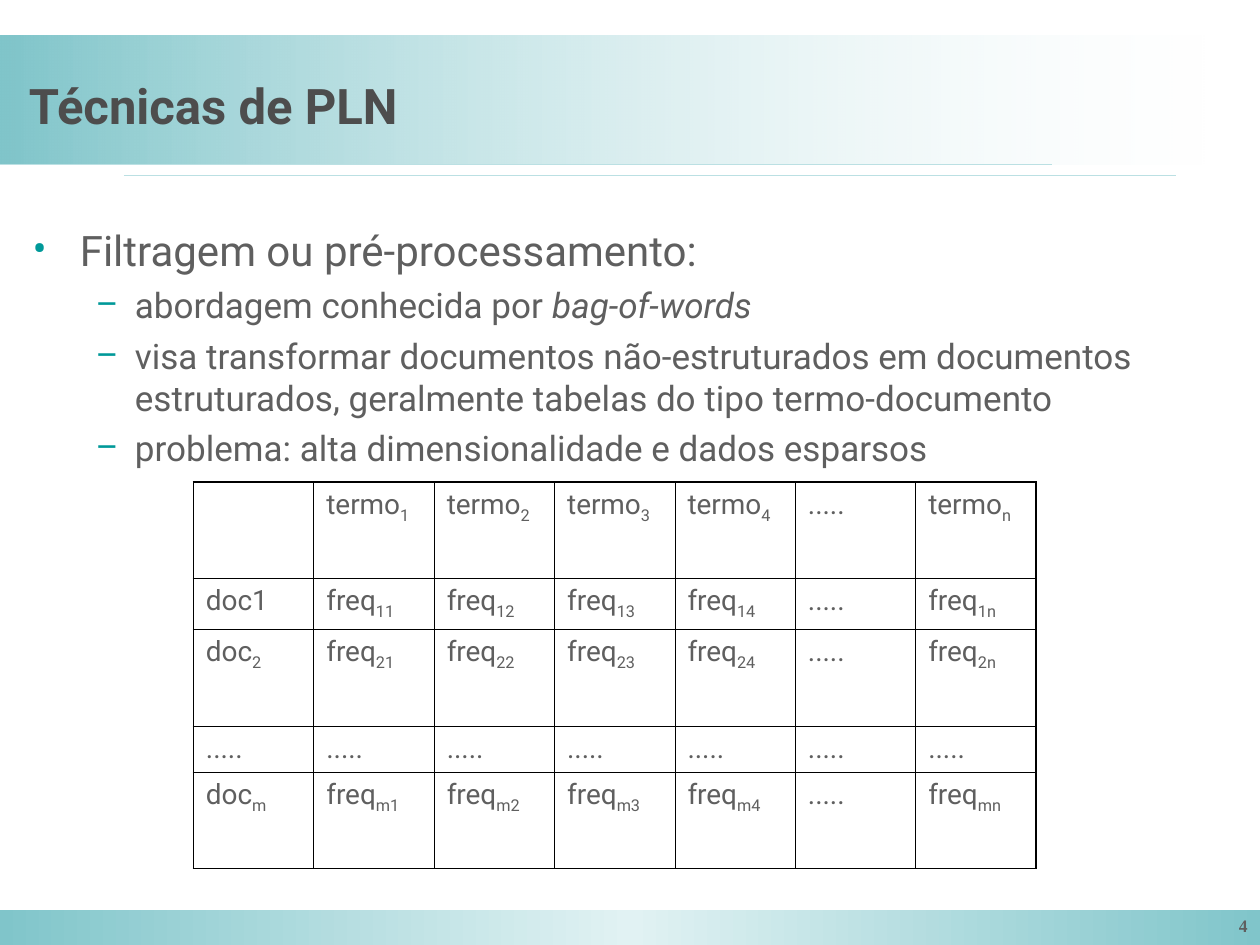
from dataclasses import dataclass

from lxml.etree import SubElement as Sub
from pptx import Presentation
from pptx.dml.color import RGBColor as Rgb
from pptx.enum.shapes import MSO_CONNECTOR as Conn, MSO_SHAPE as Form
from pptx.enum.text import MSO_ANCHOR as Anchor, PP_ALIGN as Align
from pptx.oxml.ns import qn
from pptx.util import Pt

INK = {
    "teal": "80C5CA", "pale": "E1F2F3", "rule": "BBE0E3", "mark": "009999",
    "title": "4D4D4D", "text": "5F5F5F", "grid": "000000",
}
FACE = "Roboto"
WIDE, HIGH = 720, 540
DOTS = "....."
THIN, THICK = 0.45, 1.08


@dataclass
class Box:
    left: float
    top: float
    width: float
    height: float

    def pts(self) -> list:
        return [Pt(n) for n in (self.left, self.top, self.width, self.height)]


@dataclass
class Stop:
    place: int
    ink: str
    clear: bool = False


@dataclass
class Rule:
    left: float
    right: float
    top: float


@dataclass
class Run:
    text: str
    slant: bool = False


@dataclass
class Level:
    mark: str
    size: float
    left: float
    hang: float
    gap: float


@dataclass
class Point:
    level: Level
    runs: list[Run]


HEAD = Level("•", 24, 27, 27, 0)
SUB = Level("–", 20, 58.5, 22.5, 5)

BANDS = [
    (Box(0, 519.84, WIDE, 20.16),
     [Stop(0, "teal"), Stop(50, "pale"), Stop(100, "teal")]),
    (Box(0, 20.16, 690, 73.8), [Stop(0, "pale", True), Stop(100, "teal")]),
]
RULES = [Rule(0, 601.2, 94.2), Rule(70.8, 672, 100.1)]
POINTS = [
    Point(HEAD, [Run("Filtragem ou pré-processamento:")]),
    Point(SUB, [Run("abordagem conhecida por "), Run("bag-of-words", True)]),
    Point(SUB, [Run("visa transformar documentos não-estruturados em documentos "
                    "estruturados, geralmente tabelas do tipo termo-documento")]),
    Point(SUB, [Run("problema: alta dimensionalidade e dados esparsos")]),
]

# An underscore parts a word from its subscript.
TERMS = ["1", "2", "3", "4", "", "n"]
DOCS = {"doc1": "1", "doc_2": "2", DOTS: "", "doc_m": "m"}
CELLS = [["", *(f"termo_{t}" if t else DOTS for t in TERMS)]] + [
    [name, *(f"freq_{d}{t}" if d and t else DOTS for t in TERMS)]
    for name, d in DOCS.items()
]
ROWS = [55, 29.3, 55, 26.4, 55]
GRID = Box(110.5, 275.6, 481.6, sum(ROWS))


def add_run(para, text: str, size: float, ink: str = "text", face: str = FACE,
            bold: bool = False, slant: bool = False):
    run = para.add_run()
    run.text = text
    font = run.font
    font.size, font.name, font.bold, font.italic = Pt(size), face, bold, slant
    font.color.rgb = Rgb.from_string(INK[ink])
    return run


def add_frame(slide, box: Box, anchor=Anchor.TOP):
    frame = slide.shapes.add_textbox(*box.pts()).text_frame
    frame.word_wrap = True
    frame.vertical_anchor = anchor
    return frame


def add_band(slide, box: Box, stops: list[Stop]) -> None:
    band = slide.shapes.add_shape(Form.RECTANGLE, *box.pts())
    band.shadow.inherit = False
    band.line.fill.background()
    band.fill.gradient()
    band.fill.gradient_angle = 180
    ramp = next(band._element.iter(qn("a:gsLst")))
    ramp.clear()
    for stop in stops:
        node = Sub(ramp, qn("a:gs"), pos=str(stop.place * 1000))
        tint = Sub(node, qn("a:srgbClr"), val=INK[stop.ink])
        if stop.clear:
            Sub(tint, qn("a:alpha"), val="0")


def add_rule(slide, rule: Rule) -> None:
    ends = [Pt(n) for n in (rule.left, rule.top, rule.right, rule.top)]
    line = slide.shapes.add_connector(Conn.STRAIGHT, *ends)
    line.line.color.rgb = Rgb.from_string(INK["rule"])
    line.line.width = Pt(0.75)
    Sub(line._element.spPr, qn("a:effectLst"))


def add_point(para, point: Point) -> None:
    level = point.level
    para.space_before = Pt(level.gap)
    props = para._p.get_or_add_pPr()
    props.set("marL", str(Pt(level.left)))
    props.set("indent", str(-Pt(level.hang)))
    Sub(Sub(props, qn("a:buClr")), qn("a:srgbClr"), val=INK["mark"])
    Sub(props, qn("a:buFont"), typeface=FACE)
    Sub(props, qn("a:buChar"), char=level.mark)
    for run in point.runs:
        add_run(para, run.text, level.size, slant=run.slant)


def edge_cell(cell, sides: dict[str, float]) -> None:
    """Draw the cell's borders, given a width for each side."""
    props = cell._tc.get_or_add_tcPr()
    for spot, (side, width) in enumerate(sides.items()):
        line = Sub(props, qn(f"a:ln{side}"), w=str(Pt(width)))
        Sub(Sub(line, qn("a:solidFill")), qn("a:srgbClr"), val=INK["grid"])
        props.insert(spot, line)


def add_grid(slide, box: Box, cells: list[list[str]]) -> None:
    tall, broad = len(cells), len(cells[0])
    table = slide.shapes.add_table(tall, broad, *box.pts()).table
    table.first_row = table.horz_banding = False
    for col in table.columns:
        col.width = Pt(box.width / broad)
    for row, height in zip(table.rows, ROWS):
        row.height = Pt(height)
    for y, line in enumerate(cells):
        for x, text in enumerate(line):
            cell = table.cell(y, x)
            cell.fill.background()
            outer = {"L": x == 0, "R": x == broad - 1,
                     "T": y == 0, "B": y == tall - 1}
            edge_cell(cell, {k: THICK if out else THIN for k, out in outer.items()})
            word, _, low = text.partition("_")
            para = cell.text_frame.paragraphs[0]
            if word:
                add_run(para, word, 16)
            if low:
                run = add_run(para, low, 16)
                run._r.get_or_add_rPr().set("baseline", "-25000")


def main() -> None:
    deck = Presentation()
    deck.slide_width, deck.slide_height = Pt(WIDE), Pt(HIGH)
    slide = deck.slides.add_slide(deck.slide_layouts[6])
    for box, stops in BANDS:
        add_band(slide, box, stops)
    for rule in RULES:
        add_rule(slide, rule)

    body = add_frame(slide, Box(11.5, 124.6, 697.7, 350))
    for n, point in enumerate(POINTS):
        add_point(body.add_paragraph() if n else body.paragraphs[0], point)

    title = add_frame(slide, Box(9.4, 23.8, 680.4, 72.7), Anchor.MIDDLE)
    add_run(title.paragraphs[0], "Técnicas de PLN", 28, "title", bold=True)

    add_grid(slide, GRID, CELLS)

    page = add_frame(slide, Box(628.6, 519.1, 91.4, 20.2)).paragraphs[0]
    page.alignment = Align.RIGHT
    add_run(page, "4", 10, face="Times New Roman", bold=True)
    deck.save("out.pptx")


if __name__ == "__main__":
    main()
